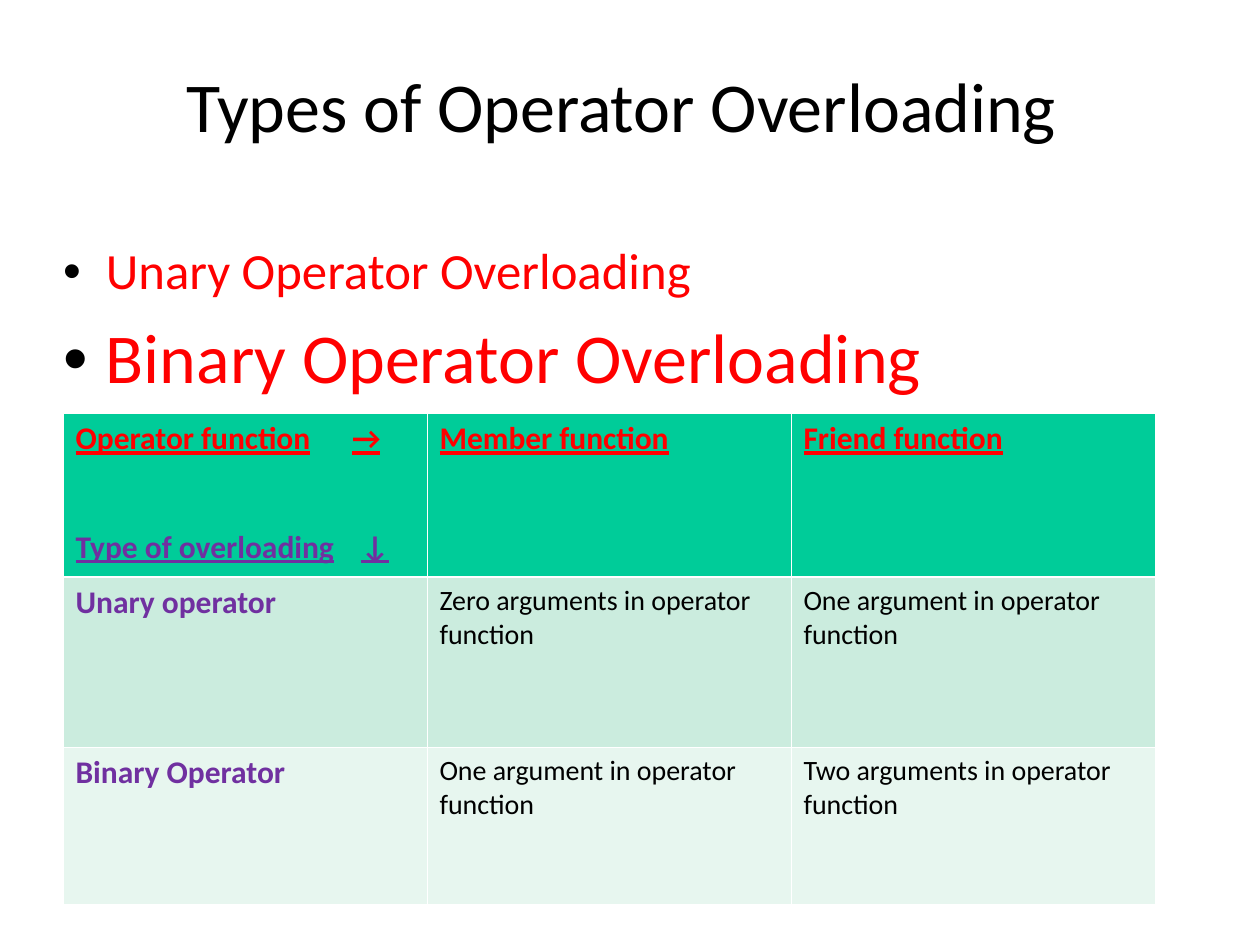
from typing import NamedTuple, Optional

from lxml.etree import SubElement
from pptx import Presentation
from pptx.dml.color import RGBColor
from pptx.enum.text import MSO_ANCHOR, MSO_AUTO_SIZE, PP_ALIGN
from pptx.oxml.ns import qn
from pptx.util import Pt

BLACK = RGBColor(0x00, 0x00, 0x00)
WHITE = RGBColor(0xFF, 0xFF, 0xFF)
RED = RGBColor(0xFF, 0x00, 0x00)
PURPLE = RGBColor(0x70, 0x30, 0xA0)
GREEN = RGBColor(0x00, 0xCC, 0x99)
MINT = RGBColor(0xCB, 0xEC, 0xDE)
PALE_MINT = RGBColor(0xE7, 0xF6, 0xEF)

LEFT = 36
COLUMN_WIDTH = 208
THIN, THICK = 0.45, 1.47

PLAIN = dict(size=Pt(16), color=BLACK, bold=False)
ROW_LABEL = dict(size=Pt(18), color=PURPLE, bold=True)
HEADING = dict(size=Pt(18), color=RED, bold=True, underline=True)


class Line(NamedTuple):
    text: str
    style: dict
    space_before: float = 0
    tab_stop: Optional[float] = None


class Row(NamedTuple):
    height: float
    fill: RGBColor
    top_border: float
    bottom_border: float
    cells: list[list[Line]]


BULLETS = [
    Line("Unary Operator Overloading", dict(size=Pt(29), color=RED)),
    Line("Binary Operator Overloading", dict(size=Pt(40), color=RED), 5),
]

ROWS = [
    Row(93.6, GREEN, THIN, THICK, [
        [Line("Operator function\t→", HEADING, tab_stop=158),
         Line("Type of overloading\t↓", HEADING | dict(color=PURPLE), 40, 163)],
        [Line("Member function", HEADING)],
        [Line("Friend function", HEADING)],
    ]),
    Row(97.2, MINT, THICK, THIN, [
        [Line("Unary operator", ROW_LABEL)],
        [Line("Zero arguments in operator function", PLAIN)],
        [Line("One argument in operator function", PLAIN)],
    ]),
    Row(90, PALE_MINT, THIN, THIN, [
        [Line("Binary Operator", ROW_LABEL)],
        [Line("One argument in operator function", PLAIN)],
        [Line("Two arguments in operator function", PLAIN)],
    ]),
]


def style_font(font, style: dict) -> None:
    font.name = "Calibri"
    for name, value in style.items():
        if name == "color":
            font.color.rgb = value
        else:
            setattr(font, name, value)


def place(shape, left: float, top: float, width: float, height: float) -> None:
    shape.left, shape.top = Pt(left), Pt(top)
    shape.width, shape.height = Pt(width), Pt(height)


def write_lines(text_frame, lines: list[Line]) -> None:
    for index, line in enumerate(lines):
        paragraph = text_frame.paragraphs[0] if index == 0 else text_frame.add_paragraph()
        if line.tab_stop is not None:
            tabs = SubElement(paragraph._p.get_or_add_pPr(), qn("a:tabLst"))
            SubElement(tabs, qn("a:tab"), pos=str(Pt(line.tab_stop)), algn="l")
        paragraph.space_before = Pt(line.space_before)
        run = paragraph.add_run()
        run.text = line.text
        style_font(run.font, line.style)


def add_border(cell, side: str, width: float) -> None:
    border = SubElement(cell._tc.get_or_add_tcPr(), qn(f"a:ln{side}"), w=str(Pt(width)))
    fill = SubElement(border, qn("a:solidFill"))
    SubElement(fill, qn("a:srgbClr"), val=str(WHITE))


def write_title(title) -> None:
    place(title, LEFT, 21.6, 638, 80.6)
    frame = title.text_frame
    frame.auto_size = MSO_AUTO_SIZE.NONE
    frame.vertical_anchor = MSO_ANCHOR.MIDDLE
    write_lines(frame, [Line("Types of Operator Overloading", dict(size=Pt(40), color=BLACK))])
    frame.paragraphs[0].alignment = PP_ALIGN.CENTER
    frame.paragraphs[0].line_spacing = 0.97


def write_bullets(body) -> None:
    place(body, LEFT, 126, 638, 347)
    frame = body.text_frame
    frame.auto_size = MSO_AUTO_SIZE.NONE
    frame.margin_left = frame.margin_right = frame.margin_bottom = 0
    frame.margin_top = Pt(12.24)
    write_lines(frame, BULLETS)
    for paragraph in frame.paragraphs:
        properties = paragraph._p.get_or_add_pPr()
        properties.set("marL", str(Pt(24.5)))
        properties.set("indent", str(Pt(-24.5)))
        bullet_color = SubElement(properties, qn("a:buClr"))
        SubElement(bullet_color, qn("a:srgbClr"), val=str(BLACK))
        SubElement(properties, qn("a:buChar"), char="•")
        paragraph.line_spacing = 0.97
        paragraph.space_after = Pt(5)


def add_overloading_table(slide) -> None:
    column_count = len(ROWS[0].cells)
    table = slide.shapes.add_table(
        len(ROWS), column_count, Pt(LEFT), Pt(236.2),
        Pt(COLUMN_WIDTH * column_count), Pt(sum(row.height for row in ROWS))).table
    for column in table.columns:
        column.width = Pt(COLUMN_WIDTH)
    for row_index, row in enumerate(ROWS):
        table.rows[row_index].height = Pt(row.height)
        borders = dict(L=THIN, R=THIN, T=row.top_border, B=row.bottom_border)
        for column_index, lines in enumerate(row.cells):
            cell = table.cell(row_index, column_index)
            for side, width in borders.items():
                add_border(cell, side, width)
            cell.fill.solid()
            cell.fill.fore_color.rgb = row.fill
            write_lines(cell.text_frame, lines)


def main() -> None:
    presentation = Presentation()
    presentation.slide_width, presentation.slide_height = Pt(720), Pt(540)
    slide = presentation.slides.add_slide(presentation.slide_layouts[1])
    write_title(slide.shapes.title)
    write_bullets(slide.placeholders[1])
    add_overloading_table(slide)
    presentation.save("out.pptx")


if __name__ == "__main__":
    main()
